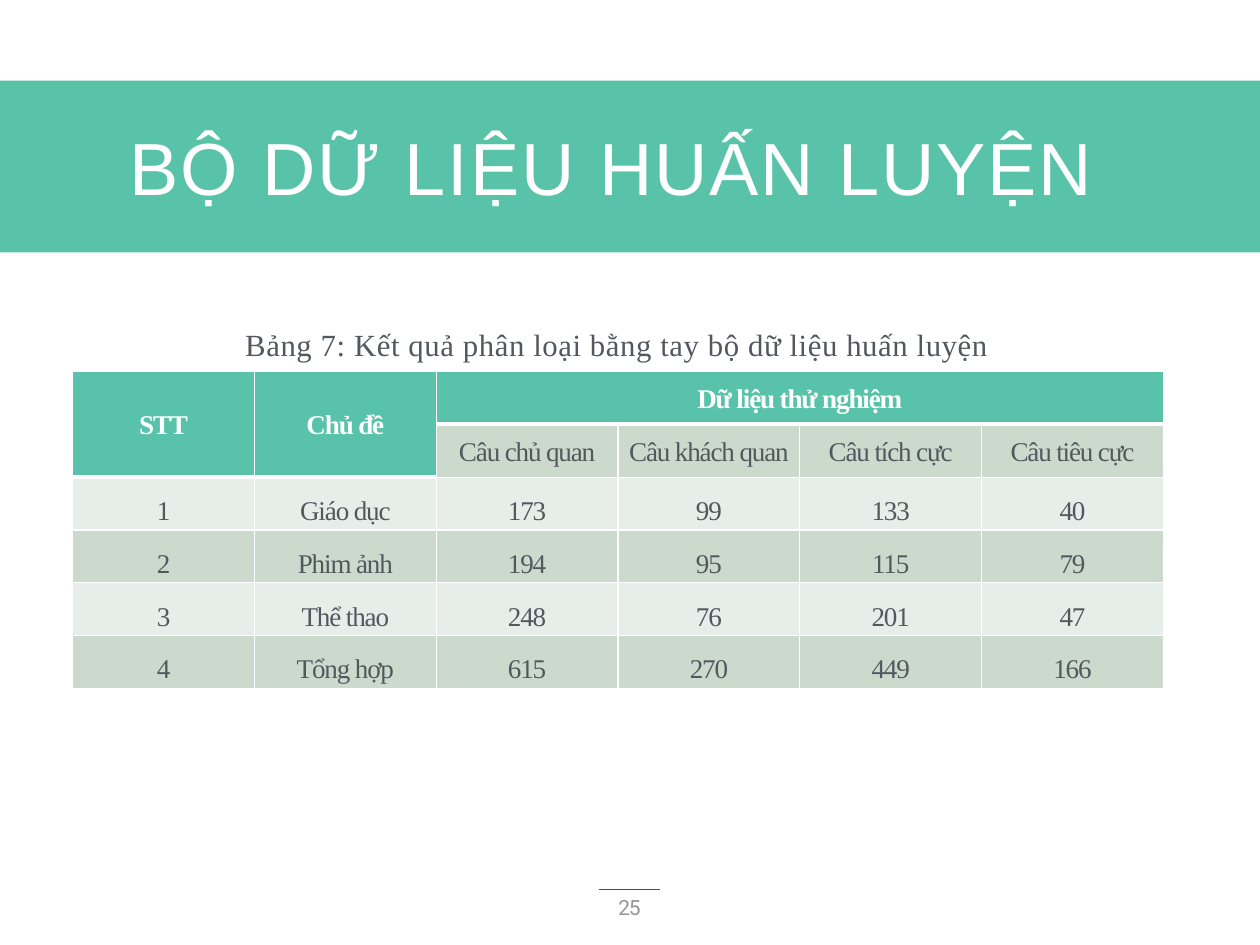
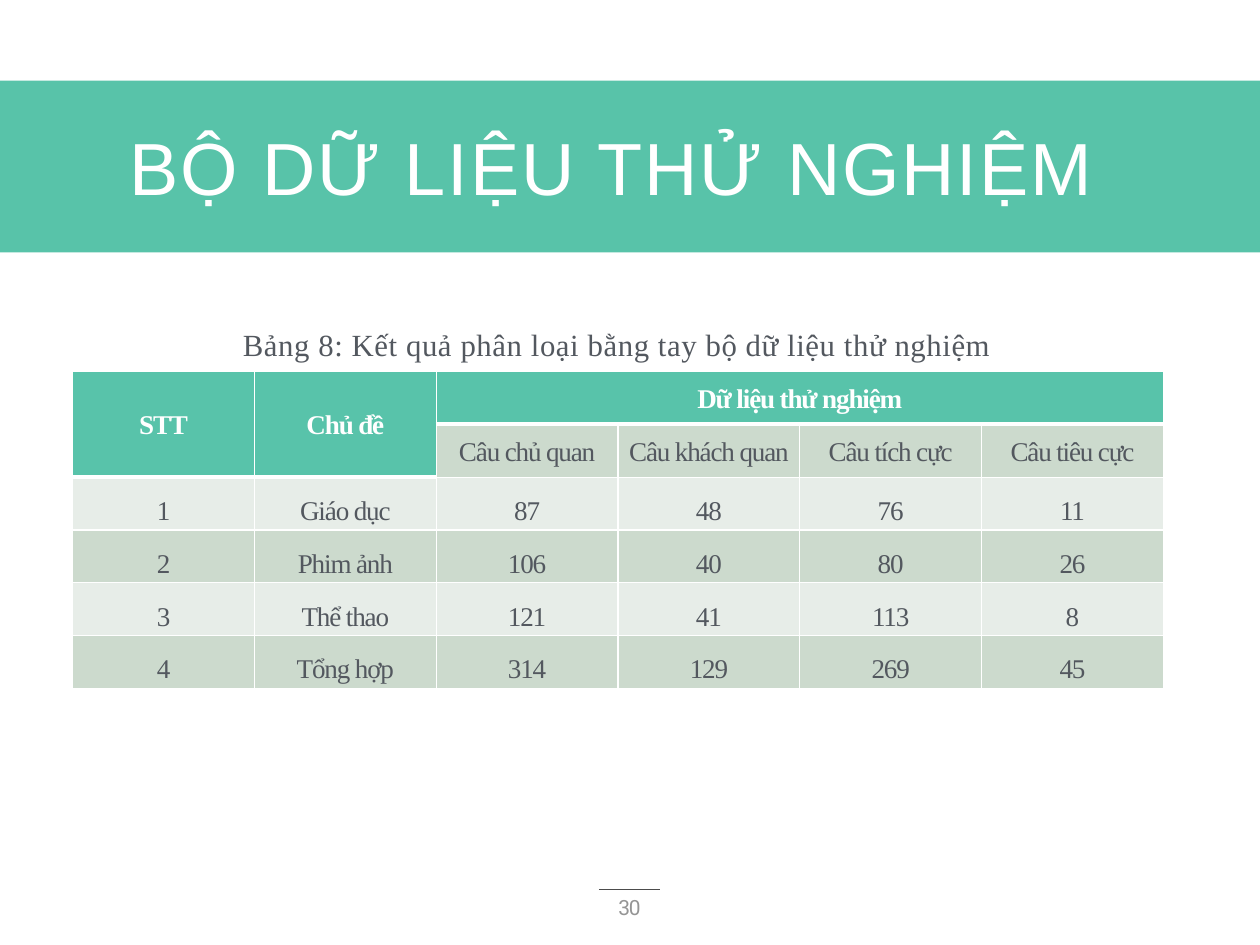
"""Build two slides that tabulate the training and test data sets."""
from lxml import etree
from pptx import Presentation
from pptx.dml.color import RGBColor
from pptx.enum import shapes, text
from pptx.oxml import ns
from pptx.util import Inches, Pt

TEAL = RGBColor(0x58, 0xC3, 0xA9)
HEADER_TEAL = RGBColor(0x58, 0xC3, 0xAA)
SAGE = RGBColor(0xCC, 0xDA, 0xCD)
PALE_SAGE = RGBColor(0xE7, 0xED, 0xE8)
WHITE = RGBColor(0xFF, 0xFF, 0xFF)
SLATE = RGBColor(0x53, 0x58, 0x5F)
RULE_GRAY = RGBColor(0x4C, 0x4C, 0x4C)
NUMBER_GRAY = RGBColor(0x95, 0x95, 0x95)
SERIF = "Times New Roman"

HEADINGS = [
    ["STT", "Chủ đề", "Dữ liệu thử nghiệm", "", "", ""],
    ["", "", "Câu chủ quan", "Câu khách quan", "Câu tích cực", "Câu tiêu cực"],
]
TOPICS = ["Giáo dục", "Phim ảnh", "Thể thao", "Tổng hợp"]
PAGES = [
    ("BỘ DỮ LIỆU HUẤN LUYỆN", "25",
     "Bảng 7: Kết quả phân loại bằng tay bộ dữ liệu huấn luyện",
     [(173, 99, 133, 40), (194, 95, 115, 79), (248, 76, 201, 47), (615, 270, 449, 166)]),
    ("BỘ DỮ LIỆU THỬ NGHIỆM", "30",
     "Bảng 8: Kết quả phân loại bằng tay bộ dữ liệu thử nghiệm",
     [(87, 48, 76, 11), (106, 40, 80, 26), (121, 41, 113, 8), (314, 129, 269, 45)]),
]


def write(frame, content, font_name, size, color, tracking, line_spacing=1.0, bold=False):
    frame.text = content
    paragraph = frame.paragraphs[0]
    paragraph.alignment = text.PP_ALIGN.CENTER
    paragraph.line_spacing = line_spacing
    for font in [paragraph.font] + [run.font for run in paragraph.runs]:
        font.name = font_name
        font.size = Pt(size)
        font.bold = bold
        font.color.rgb = color
        font._rPr.set("spc", str(round(tracking * 100)))
    return paragraph


def set_borders(cell, top, bottom):
    properties = cell._tc.get_or_add_tcPr()
    for index, (side, width) in enumerate([("L", 1), ("R", 1), ("T", top), ("B", bottom)]):
        line = etree.Element(ns.qn(f"a:ln{side}"), w=str(Pt(width)))
        fill = etree.SubElement(line, ns.qn("a:solidFill"))
        etree.SubElement(fill, ns.qn("a:srgbClr"), val=str(WHITE))
        properties.insert(index, line)


presentation = Presentation()
presentation.slide_width = Inches(14.22)
presentation.slide_height = Inches(10.67)
layout = presentation.slide_layouts.get_by_name("Title Only")
layout_title = layout.placeholders[0]
layout_title.left, layout_title.top = Inches(1.14), Inches(1.11)
layout_title.width, layout_title.height = Inches(11.52), Inches(1.53)
slides = [presentation.slides.add_slide(layout) for page in PAGES]

band = slides[0].shapes.add_shape(
    shapes.MSO_SHAPE.RECTANGLE, 0, Inches(0.91), presentation.slide_width, Inches(1.94))
band.shadow.inherit = False
band.fill.solid()
band.fill.fore_color.rgb = TEAL
band.line.fill.background()
footer_rule = slides[0].shapes.add_connector(
    shapes.MSO_CONNECTOR.STRAIGHT, Inches(6.76), Inches(10.04), Inches(7.45), Inches(10.04))
footer_rule.line.color.rgb = RULE_GRAY
footer_rule.line.width = Pt(0.5)
etree.SubElement(footer_rule.element.spPr, ns.qn("a:effectLst"))
for position, shape in enumerate([band, footer_rule], start=2):
    layout.shapes.element.insert(position, shape.element)

for slide, (title, number, caption, counts) in zip(slides, PAGES):
    title_frame = slide.shapes.title.text_frame
    title_frame.auto_size = text.MSO_AUTO_SIZE.NONE
    title_frame.vertical_anchor = text.MSO_ANCHOR.MIDDLE
    title_frame.margin_left = title_frame.margin_right = 0
    title_frame.margin_top = title_frame.margin_bottom = 0
    write(title_frame, title, "Arial", 60, WHITE, 1.6)

    number_box = slide.shapes.add_textbox(Inches(6.82), Inches(10.05), Inches(0.57), Inches(0.42))
    number_box.text_frame.word_wrap = True
    number_box.text_frame.vertical_anchor = text.MSO_ANCHOR.MIDDLE
    write(number_box.text_frame, number, "Roboto", 17, NUMBER_GRAY, -0.9, 0.9)

    caption_box = slide.shapes.add_textbox(Inches(0.81), Inches(3.59), Inches(12.31), Inches(0.56))
    caption_box.text_frame.word_wrap = True
    caption_box.text_frame.auto_size = text.MSO_AUTO_SIZE.SHAPE_TO_FIT_TEXT
    write(caption_box.text_frame, caption, SERIF, 25, SLATE, 0.5, 1.1)

    body = [[str(order), topic, *map(str, values)]
            for order, (topic, values) in enumerate(zip(TOPICS, counts), start=1)]
    rows = HEADINGS + body
    table = slide.shapes.add_table(
        len(rows), len(rows[0]), Inches(0.82), Inches(4.19), Inches(12.31), Inches(3.59)).table
    table.cell(0, 0).merge(table.cell(1, 0))
    table.cell(0, 1).merge(table.cell(1, 1))
    table.cell(0, 2).merge(table.cell(0, 5))

    for row, values in enumerate(rows):
        for column, value in enumerate(values):
            cell = table.cell(row, column)
            header_rows = 2 if column < 2 else 1
            is_header = row < header_rows
            is_body = row >= len(HEADINGS)
            cell.vertical_anchor = text.MSO_ANCHOR.MIDDLE
            cell.fill.solid()
            cell.fill.fore_color.rgb = (
                HEADER_TEAL if is_header else SAGE if row % 2 else PALE_SAGE)
            set_borders(cell, 3 if row == header_rows else 1, 3 if is_header else 1)
            paragraph = write(cell.text_frame, value, SERIF, 22, WHITE if is_header else SLATE,
                              -0.9, 1.5 if is_body else 1.1, is_header)
            if is_body:
                cell.margin_left = cell.margin_right = Inches(0.07)
                cell.margin_top = cell.margin_bottom = 0
                paragraph.space_after = Pt(6)

presentation.save("out.pptx")
